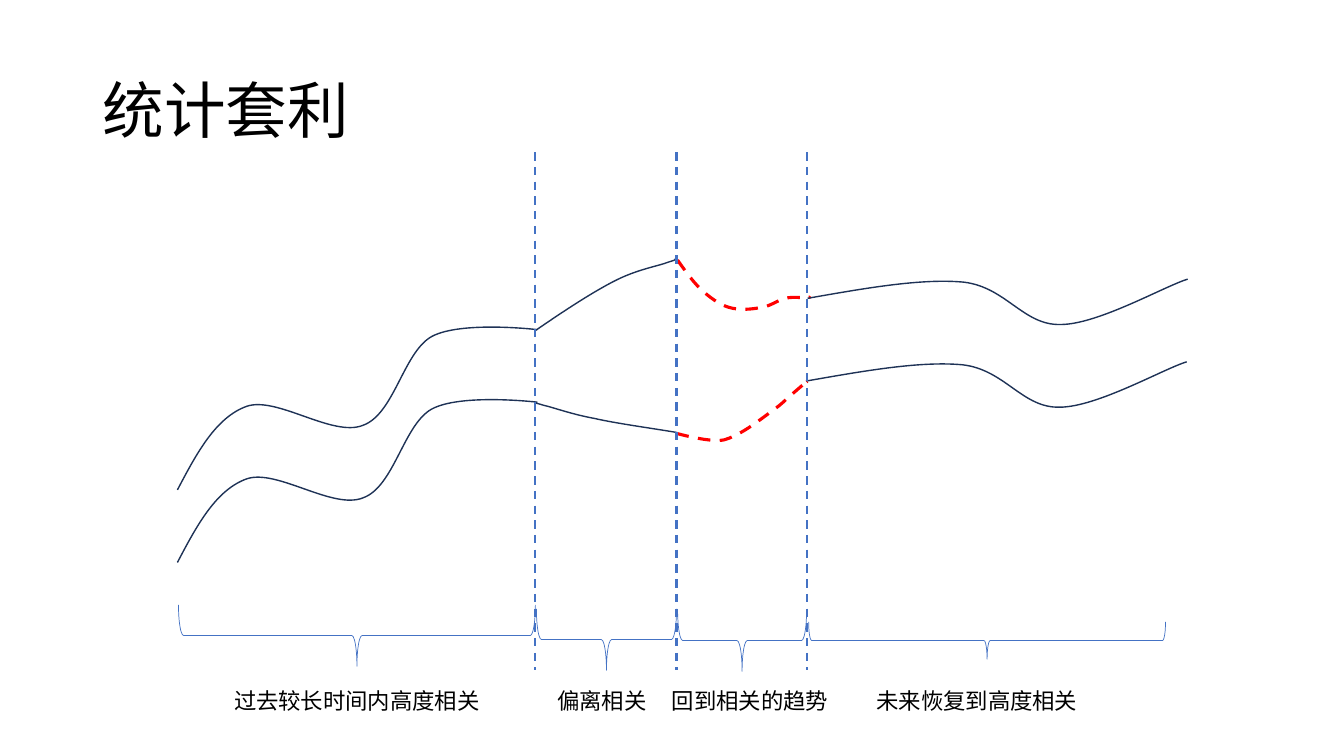
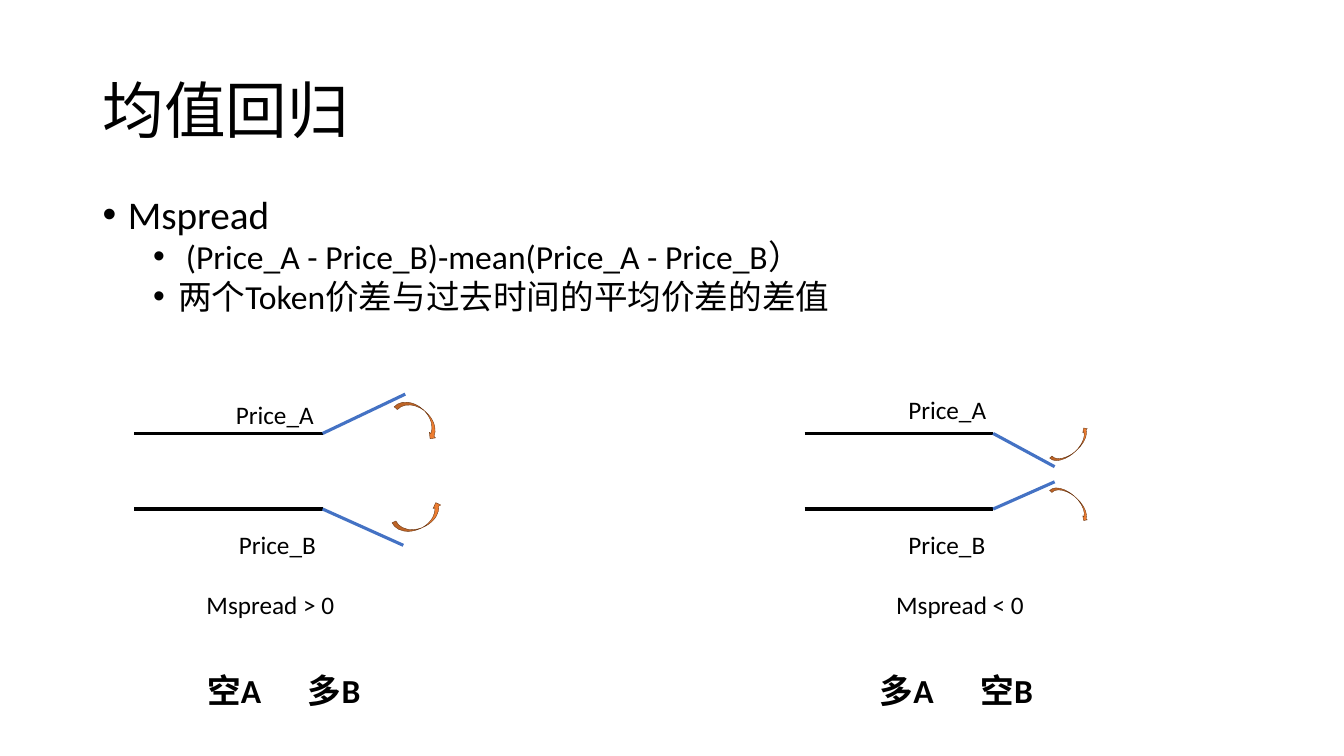
import math

import pptx
import pptx.util
import pptx.dml.color
import pptx.enum.dml
import pptx.enum.shapes
import pptx.enum.text
from lxml import etree

# Shared style: 100 px to the inch
PX = 9144
FONT = "Calibri"
BLACK, BLUE, NAVY, RED = "000000", "4472C4", "1E3256", "FF0000"
ORANGE, BROWN = "ED7D31", "683715"
TITLE_BOX = (92, 40, 1150, 145)
BODY_BOX = (92, 193, 1150, 128)
DRAWING = "{http://schemas.openxmlformats.org/drawingml/2006/main}"
ALIGN = pptx.enum.text.PP_ALIGN
ANCHOR = pptx.enum.text.MSO_ANCHOR
SHAPE = pptx.enum.shapes.MSO_SHAPE

# Slide 1 content: each curve is a start point followed by Bezier segments
# (first control x, y, second control x, y, end x, y)
PAST = [(176, 486), (195, 450, 214, 414, 245, 403), (275, 393, 330, 434, 360, 422),
        (391, 411, 400, 350, 428, 334), (457, 318, 533, 327, 533, 327)]
FUTURE = [(801, 296), (858, 286, 914, 276, 956, 280), (998, 285, 1015, 323, 1052, 322),
          (1089, 322, 1155, 284, 1178, 277)]
DIVERGE_UP = [(531, 328), (560, 308, 589, 289, 611, 278), (633, 267, 653, 264, 663, 260),
              (673, 257, 671, 257, 669, 257)]
DIVERGE_DOWN = [(671, 429), (641, 424, 611, 420, 589, 415), (567, 411, 548, 404, 539, 402),
                (529, 399, 531, 400, 533, 400)]
RETURN_DOWN = [(672, 258), (679, 268, 687, 279, 695, 287), (704, 295, 713, 302, 723, 305),
               (733, 308, 746, 307, 755, 305), (764, 304, 771, 298, 779, 296),
               (786, 294, 797, 296, 801, 295), (805, 295, 803, 295, 802, 295)]
RETURN_UP = [(671, 430), (686, 434, 701, 437, 712, 437), (722, 437, 726, 433, 735, 429),
             (744, 424, 756, 415, 764, 409), (771, 404, 775, 401, 781, 395),
             (787, 390, 797, 381, 800, 379), (803, 376, 802, 378, 800, 379)]
# (curve, shift x, shift y, rotation, is the return to the trend)
CURVES = [
    (PAST, 0, 0, 350.4, False), (PAST, 0, 72, 350.4, False),
    (DIVERGE_UP, 0, 0, 0, False), (DIVERGE_DOWN, 0, 0, 201.2, False),
    (RETURN_DOWN, 0, 0, 0, True), (RETURN_UP, 0, 0, 0, True),
    (FUTURE, 0, 0, 0, False), (FUTURE, -1, 82, 0, False),
]
DIVIDERS = [531, 671, 800]
# (label, label left, label width, brace left, top, width, depth)
PHASES = [
    ("过去较长时间内高度相关", 198, 312, 177, 600, 354, 61),
    ("偏离相关", 531, 132, 532, 604, 139, 61),
    ("回到相关的趋势", 653, 182, 672, 605, 128, 61),
    ("未来恢复到高度相关", 813, 312, 802, 617, 354, 37),
]

# Slide 2 content
BULLETS = [
    ("Mspread", 0),
    (" (Price_A - Price_B)-mean(Price_A - Price_B）", 1),
    ("两个Token价差与过去时间的平均价差的差值", 1),
]
# Per level: text size, space before, left margin in px
LEVELS = [(28, 10, 25), (24, 5, 75)]
PRICE_LINES = [430, 505]
LINE_LENGTH = 187
SPREADS = [
    {
        "left": 133, "tips": [(402, 391), (400, 541)],
        "labels": [("Price_A", 224, 391, 115), ("Price_B", 227, 520, 115),
                   ("Mspread > 0", 195, 580, 173)],
        "trade": ("空A\t多B", 150),
        # box, rotation, flipped
        "arrows": [((390, 406, 52, 17), 41.6, False), ((390, 507, 52, 17), 335.3, True)],
    },
    {
        "left": 798, "tips": [(1046, 463), (1046, 478)],
        "labels": [("Price_A", 891, 386, 115), ("Price_B", 891, 520, 115),
                   ("Mspread < 0", 879, 580, 173)],
        "trade": ("多A\t空B", 817),
        "arrows": [((1039, 492, 48, 12), 41.6, False), ((1039, 437, 48, 12), 318.4, True)],
    },
]


# Helpers
def emu(*lengths):
    return [pptx.util.Emu(round(length * PX)) for length in lengths]


def color(hex_value):
    return pptx.dml.color.RGBColor.from_string(hex_value)


def style_line(line, hex_value, width, dashed=False):
    line.color.rgb = color(hex_value)
    line.width = pptx.util.Pt(width)
    if dashed:
        line.dash_style = pptx.enum.dml.MSO_LINE.DASH


def style_shape(shape, line_color, width, fill=None, dashed=False):
    shape.shadow.inherit = False
    if fill:
        shape.fill.solid()
        shape.fill.fore_color.rgb = color(fill)
    else:
        shape.fill.background()
    style_line(shape.line, line_color, width, dashed)


def write(paragraph, text, size=18, bold=False, align=ALIGN.LEFT, spacing=None, before=0):
    paragraph.alignment = align
    paragraph.space_before = pptx.util.Pt(before)
    if spacing:
        paragraph.line_spacing = spacing
    run = paragraph.add_run()
    run.text = text
    run.font.name = FONT
    run.font.size = pptx.util.Pt(size)
    run.font.bold = bold
    run.font.color.rgb = color(BLACK)


def add_frame(slide, box, anchor=ANCHOR.TOP):
    frame = slide.shapes.add_textbox(*emu(*box)).text_frame
    frame.word_wrap = True
    frame.vertical_anchor = anchor
    return frame


def add_label(slide, text, box, **text_format):
    write(add_frame(slide, box).paragraphs[0], text, **text_format)


def add_line(slide, start, end, hex_value, width, dashed=False):
    connector = slide.shapes.add_connector(
        pptx.enum.shapes.MSO_CONNECTOR.STRAIGHT, *emu(*start, *end))
    style_line(connector.line, hex_value, width, dashed)
    etree.SubElement(connector._element.spPr, f"{DRAWING}effectLst")


def turn(x, y, degrees):
    angle = math.radians(degrees)
    return (x * math.cos(angle) - y * math.sin(angle),
            x * math.sin(angle) + y * math.cos(angle))


def use_bezier_segments(shape):
    """Join every three straight segments into one cubic segment."""
    segments = list(shape._element.iter(f"{DRAWING}lnTo"))
    for index in range(0, len(segments), 3):
        cubic = etree.Element(f"{DRAWING}cubicBezTo")
        segments[index].addprevious(cubic)
        for segment in segments[index:index + 3]:
            cubic.append(segment[0])
            segment.getparent().remove(segment)


def add_curve(slide, curve, shift_x, shift_y, rotation, returning):
    numbers = [number for part in curve for number in part]
    points = [emu(*turn(x + shift_x, y + shift_y, -rotation))
              for x, y in zip(numbers[::2], numbers[1::2])]
    builder = slide.shapes.build_freeform(*points[0])
    builder.add_line_segments(points[1:], close=False)
    shape = builder.convert_to_shape()
    use_bezier_segments(shape)
    # Turn the centre back to its place on the slide
    center_x, center_y = turn(shape.left + shape.width / 2,
                              shape.top + shape.height / 2, rotation)
    shape.left = round(center_x - shape.width / 2)
    shape.top = round(center_y - shape.height / 2)
    shape.rotation = rotation
    style_shape(shape, RED if returning else NAVY, 2.25 if returning else 1, dashed=returning)


def add_brace(slide, left, top, width, depth):
    # The upright brace shares its centre with the turned one
    box = (left + (width - depth) / 2, top + (depth - width) / 2, depth, width)
    brace = slide.shapes.add_shape(SHAPE.RIGHT_BRACE, *emu(*box))
    brace.rotation = 90
    style_shape(brace, BLUE, 0.5)


def add_turn_arrow(slide, box, rotation, flipped):
    arrow = slide.shapes.add_shape(SHAPE.CURVED_DOWN_ARROW, *emu(*box))
    arrow.rotation = rotation
    if flipped:
        arrow._element.spPr.xfrm.set("flipV", "1")
    style_shape(arrow, BROWN, 0.25, fill=ORANGE)


def add_bullets(slide, bullets):
    frame = add_frame(slide, BODY_BOX)
    for index, (text, level) in enumerate(bullets):
        paragraph = frame.add_paragraph() if index else frame.paragraphs[0]
        size, before, margin = LEVELS[level]
        write(paragraph, text, size=size, spacing=0.8, before=before)
        paragraph.level = level
        properties = paragraph._p.get_or_add_pPr()
        properties.set("marL", str(margin * PX))
        properties.set("indent", str(-25 * PX))
        etree.SubElement(properties, f"{DRAWING}buFont", typeface="Arial")
        etree.SubElement(properties, f"{DRAWING}buChar", char="•")


def add_slide(presentation, title):
    slide = presentation.slides.add_slide(presentation.slide_layouts[6])
    frame = add_frame(slide, TITLE_BOX, ANCHOR.MIDDLE)
    write(frame.paragraphs[0], title, size=44, spacing=0.9)
    return slide


# Slides
def build_arbitrage(presentation):
    slide = add_slide(presentation, "统计套利")
    for curve in CURVES:
        add_curve(slide, *curve)
    for x in DIVIDERS:
        add_line(slide, (x, 151), (x, 665), BLUE, 1.5, dashed=True)
    for text, left, width, *brace in PHASES:
        add_brace(slide, *brace)
        add_label(slide, text, (left, 677, width, 37), size=16, align=ALIGN.CENTER)


def build_reversion(presentation):
    slide = add_slide(presentation, "均值回归")
    add_bullets(slide, BULLETS)
    for spread in SPREADS:
        bend = spread["left"] + LINE_LENGTH
        for y, tip in zip(PRICE_LINES, spread["tips"]):
            add_line(slide, (spread["left"], y), (bend, y), BLACK, 2.25)
            add_line(slide, (bend, y), tip, BLUE, 2.25)
        for text, left, top, width in spread["labels"]:
            add_label(slide, text, (left, top, width, 40))
        for arrow in spread["arrows"]:
            add_turn_arrow(slide, *arrow)
        text, left = spread["trade"]
        add_label(slide, text, (left, 660, 263, 50), size=24, bold=True, align=ALIGN.CENTER)


def main():
    presentation = pptx.Presentation()
    presentation.slide_width, presentation.slide_height = emu(1333, 750)
    build_arbitrage(presentation)
    build_reversion(presentation)
    presentation.save("out.pptx")


if __name__ == "__main__":
    main()
